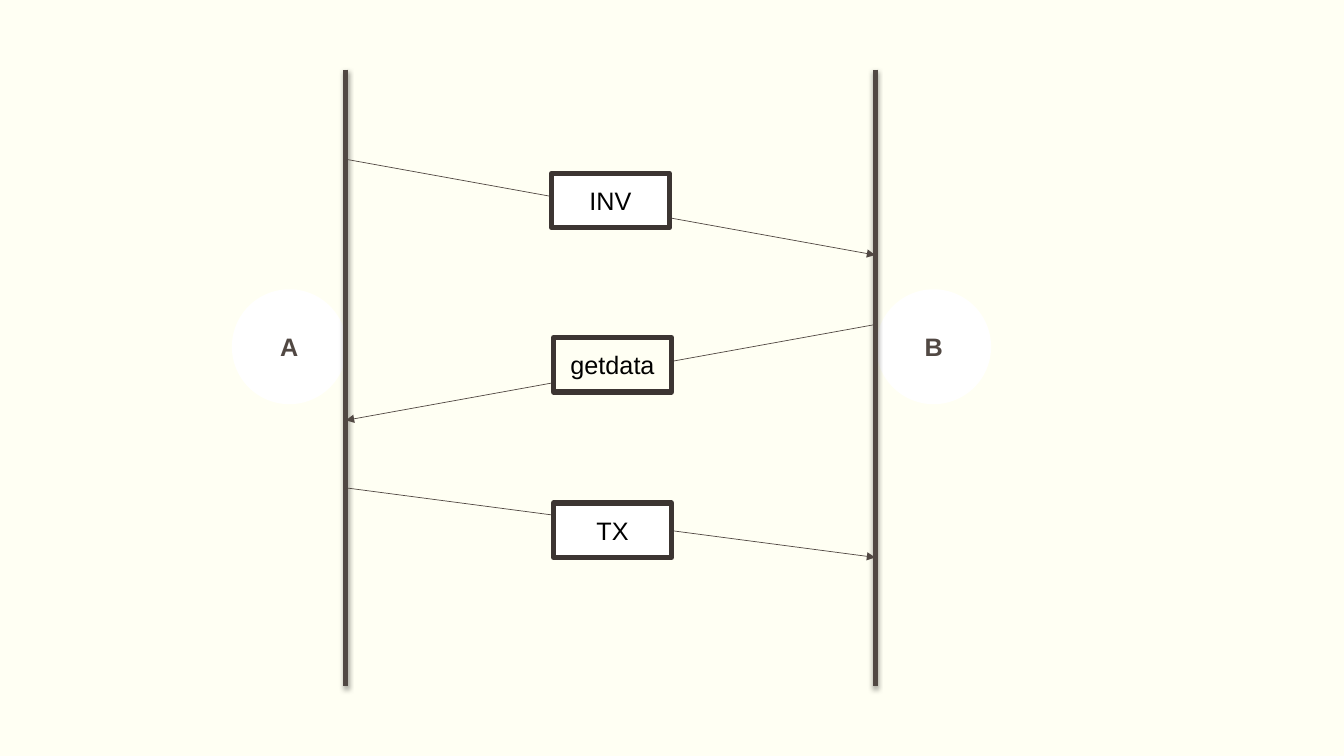
from lxml import etree
from pptx import Presentation, util as u
from pptx.dml.color import RGBColor
from pptx.enum import shapes, text
from pptx.oxml import ns

HUES = {"back": "FFFFF3", "white": "FFFFFF", "brown": "514843",
        "edge": "3C3532", "black": "000000"}
LEFT, RIGHT = 3.43, 8.68      # the two lifelines
TOP, BASE = 0.69, 6.81


def hue(name):
    return RGBColor.from_string(HUES[name])


def node(root, tag, **attrs):
    return etree.SubElement(root, ns.qn(tag), attrs)


def write(shape, words, size=18, color="black", bold=False):
    frame = shape.text_frame
    frame.word_wrap = True
    frame.vertical_anchor = text.MSO_ANCHOR.MIDDLE
    frame.margin_left = frame.margin_right = u.Inches(0.05)
    para = frame.paragraphs[0]
    para.alignment = text.PP_ALIGN.CENTER
    run = para.add_run()
    run.text = words
    font = run.font
    font.name, font.size, font.bold = "Arial", u.Pt(size), bold
    font.color.rgb = hue(color)


class Chart:
    """Sequence chart on one slide."""
    thick, thin = 3.78, 0.5
    disc, wide, high = 1.14, 1.17, 0.54

    def __init__(self, slide):
        self.slide = slide
        fill = slide.background.fill
        fill.solid()
        fill.fore_color.rgb = hue("back")

    def shape(self, kind, x, y, w, h, fill):
        item = self.slide.shapes.add_shape(
            kind, u.Inches(x), u.Inches(y), u.Inches(w), u.Inches(h))
        item.shadow.inherit = False
        item.fill.solid()
        item.fill.fore_color.rgb = hue(fill)
        return item

    def peer(self, x, name):
        item = self.shape(shapes.MSO_SHAPE.OVAL, x, 2.87, self.disc, self.disc, "white")
        item.line.fill.background()
        write(item, name, color="brown", bold=True)

    def label(self, x, y, words, fill):
        item = self.shape(shapes.MSO_SHAPE.RECTANGLE, x, y, self.wide, self.high, fill)
        item.line.color.rgb = hue("edge")
        item.line.width = u.Pt(self.thick)
        node(item.line._get_or_add_ln(), "a:round")
        write(item, words)

    def line(self, start, end, width):
        item = self.slide.shapes.add_connector(
            shapes.MSO_CONNECTOR.STRAIGHT, *map(u.Inches, (*start, *end)))
        item.line.color.rgb = hue("brown")
        item.line.width = u.Pt(width)
        return item

    def life(self, x):
        item = self.line((x, TOP), (x, BASE), self.thick)
        # Soft shadow straight below
        glow = node(node(item._element.spPr, "a:effectLst"), "a:outerShdw",
                    blurRad=str(u.Pt(3.5)), dist=str(u.Pt(2)),
                    dir="5400000", rotWithShape="0")
        node(node(glow, "a:srgbClr", val=HUES["black"]), "a:alpha", val="38000")

    def arrow(self, start, end):
        item = self.line(start, end, self.thin)
        node(item.line._get_or_add_ln(), "a:tailEnd", type="triangle")
        node(item._element.spPr, "a:effectLst")


def main():
    deck = Presentation()
    deck.slide_width, deck.slide_height = u.Inches(13.33), u.Inches(7.5)
    chart = Chart(deck.slides.add_slide(deck.slide_layouts[6]))

    # Peers and their lifelines
    for x, name in ((2.3, "A"), (8.69, "B")):
        chart.peer(x, name)
    for x in (LEFT, RIGHT):
        chart.life(x)

    # Messages: arrow first, label on top
    for words, start, end, x, y, fill in (
            ("INV", (LEFT, 1.58), (RIGHT, 2.53), 5.47, 1.72, "white"),
            ("getdata", (RIGHT, 3.22), (LEFT, 4.17), 5.49, 3.35, "back"),
            ("TX", (LEFT, 4.84), (RIGHT, 5.53), 5.49, 4.99, "white")):
        chart.arrow(start, end)
        chart.label(x, y, words, fill)

    deck.save("out.pptx")


if __name__ == "__main__":
    main()
